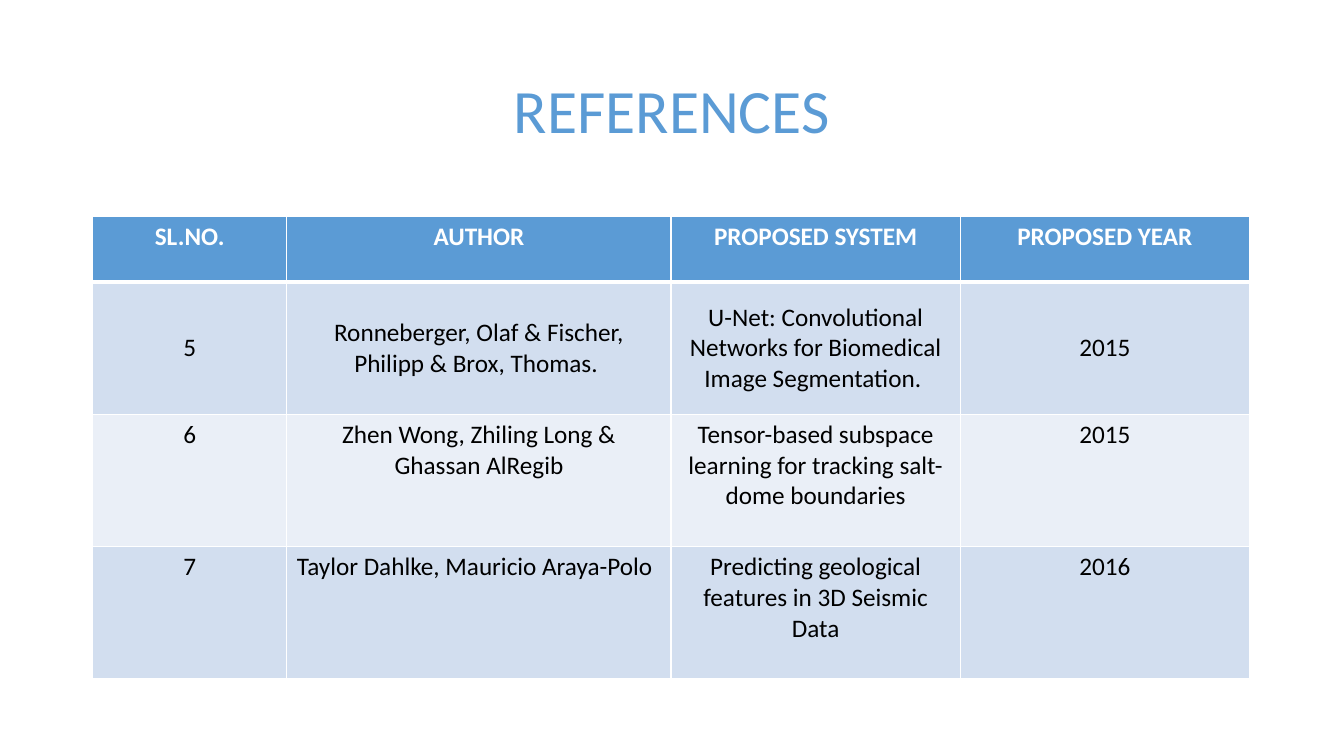
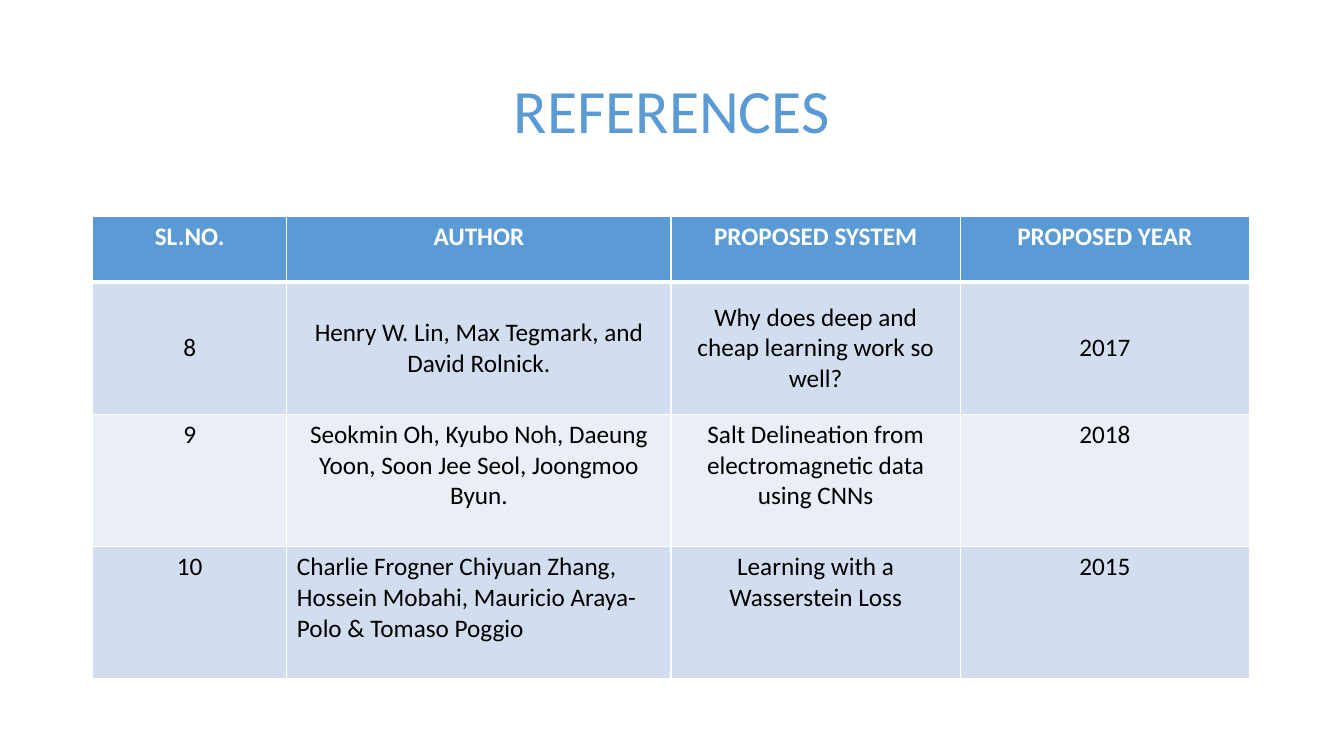
import pptx
import pptx.util
import pptx.dml.color
import pptx.enum.text
import pptx.oxml
import pptx.oxml.ns

Cm, Pt = pptx.util.Cm, pptx.util.Pt
RGBColor = pptx.dml.color.RGBColor
ALIGN = pptx.enum.text.PP_ALIGN
ANCHOR = pptx.enum.text.MSO_ANCHOR

TITLE = "REFERENCES"
HEAD = ("SL.NO.", "AUTHOR", "PROPOSED SYSTEM", "PROPOSED YEAR")
PAGES = [
    [
        ("5", "Ronneberger, Olaf & Fischer, Philipp & Brox, Thomas. ",
         "U-Net: Convolutional Networks for Biomedical Image Segmentation. ",
         "2015"),
        ("6", "Zhen Wong, Zhiling Long & Ghassan AlRegib",
         "Tensor-based subspace learning for tracking salt-dome boundaries",
         "2015"),
        ("7", "Taylor Dahlke, Mauricio Araya-Polo",
         "Predicting geological features in 3D Seismic Data", "2016"),
    ],
    [
        ("8", "Henry W. Lin, Max Tegmark, and David Rolnick.",
         "Why does deep and cheap learning work so well?", "2017"),
        ("9", "Seokmin Oh, Kyubo Noh, Daeung Yoon, Soon Jee Seol, "
         "Joongmoo Byun.",
         "Salt Delineation from electromagnetic data using CNNs", "2018"),
        ("10", "Charlie Frogner Chiyuan Zhang, Hossein Mobahi, "
         "Mauricio Araya-Polo & Tomaso Poggio",
         "Learning with a Wasserstein Loss", "2015"),
    ],
]

FONT = "Calibri"
BLUE = RGBColor(0x5B, 0x9B, 0xD5)
BANDS = (RGBColor(0xEA, 0xEF, 0xF7), RGBColor(0xD2, 0xDE, 0xEF))
WHITE = RGBColor(0xFF, 0xFF, 0xFF)
BLACK = RGBColor(0, 0, 0)

LEFT, TOP = 2.33, 5.46
WIDTHS = (4.9, 9.68, 7.29, 7.29)
HEAD_H, ROW_H = 1.65, 3.33


def style(para, size, color, bold=False, align=ALIGN.CENTER):
    """Format one paragraph and its runs."""
    para.alignment = align
    for run in para.runs:
        run.font.name = FONT
        run.font.size = Pt(size)
        run.font.bold = bold
        run.font.color.rgb = color


def add_title(slide):
    """Place and format the slide title."""
    title = slide.shapes.title
    title.left, title.top = Cm(LEFT), Cm(1.01)
    title.width, title.height = Cm(29.21), Cm(3.68)
    frame = title.text_frame
    frame.text = TITLE
    frame.vertical_anchor = ANCHOR.MIDDLE
    frame.paragraphs[0].line_spacing = 0.9
    style(frame.paragraphs[0], 44, BLUE)


def add_edges(cell, top, bottom):
    """Draw white cell borders, with top and bottom weights in points."""
    props = cell._tc.get_or_add_tcPr()
    for side, weight in zip("LRTB", (1, 1, top, bottom)):
        props.append(pptx.oxml.parse_xml(
            f'<a:ln{side} {pptx.oxml.ns.nsdecls("a")} w="{Pt(weight)}">'
            f'<a:solidFill><a:srgbClr val="{WHITE}"/></a:solidFill>'
            f'</a:ln{side}>'))


def fill_cell(cell, text, row, col, last):
    """Write one cell and format it by its place in the table."""
    head = row == 0
    cell.text = text
    cell.vertical_anchor = ANCHOR.MIDDLE if row == 1 else ANCHOR.TOP
    add_edges(cell, 3 if row == 1 else 1, 3 if head else 1)
    cell.fill.solid()
    cell.fill.fore_color.rgb = BLUE if head else BANDS[row % 2]
    align = ALIGN.LEFT if (row, col) == (last, 1) else ALIGN.CENTER
    style(cell.text_frame.paragraphs[0], 18, WHITE if head else BLACK,
          head, align)


def add_refs(slide, refs):
    """Add the table of references."""
    rows = [HEAD] + refs
    last = len(refs)
    table = slide.shapes.add_table(
        len(rows), len(HEAD), Cm(LEFT), Cm(TOP), Cm(sum(WIDTHS)),
        Cm(HEAD_H + ROW_H * last)).table
    for col, width in enumerate(WIDTHS):
        table.columns[col].width = Cm(width)
    for row, texts in enumerate(rows):
        table.rows[row].height = Cm(ROW_H if row else HEAD_H)
        for col, text in enumerate(texts):
            fill_cell(table.cell(row, col), text, row, col, last)


deck = pptx.Presentation()
deck.slide_width, deck.slide_height = Cm(33.87), Cm(19.05)
for refs in PAGES:
    slide = deck.slides.add_slide(deck.slide_layouts[5])
    add_title(slide)
    add_refs(slide, refs)
deck.save("out.pptx")
